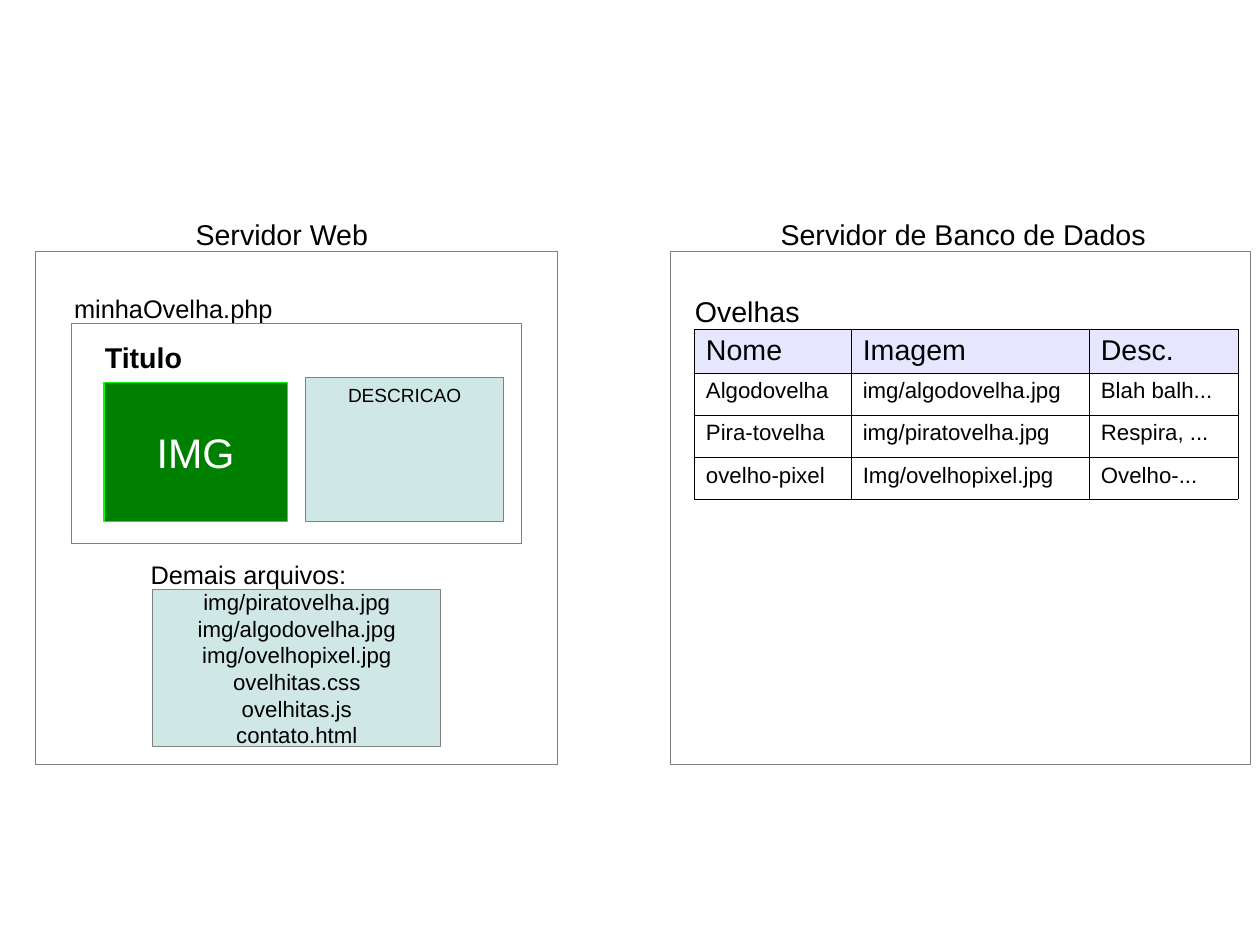
import pptx
import pptx.util
import pptx.dml.color
import pptx.enum.shapes
import pptx.enum.text
import pptx.oxml
import pptx.oxml.ns

Pt = pptx.util.Pt
ALIGN = pptx.enum.text.PP_ALIGN
ANCHOR = pptx.enum.text.MSO_ANCHOR

GRAY, BLACK, WHITE = "808080", "000000", "FFFFFF"
PALE_TEAL, LAVENDER, GREEN, LIME = "CFE7E5", "E6E6FF", "008000", "00FF00"

FILES = ["img/piratovelha.jpg", "img/algodovelha.jpg", "img/ovelhopixel.jpg",
         "ovelhitas.css", "ovelhitas.js", "contato.html"]
SHEEP_ROWS = [
    ["Nome", "Imagem", "Desc."],
    ["Algodovelha", "img/algodovelha.jpg", "Blah balh..."],
    ["Pira-tovelha", "img/piratovelha.jpg", "Respira, ..."],
    ["ovelho-pixel", "Img/ovelhopixel.jpg", "Ovelho-..."],
]
COLUMN_WIDTHS = [98.8, 150, 93.6]
ROW_HEIGHT = 26.6


def color(hex_string):
    return pptx.dml.color.RGBColor.from_string(hex_string)


def write_lines(text_frame, lines, size, align=ALIGN.LEFT, text_color=BLACK, bold=False):
    font_format = {"name": "Arial", "size": Pt(size), "bold": bold}
    for index, line in enumerate(lines):
        paragraph = text_frame.paragraphs[0] if index == 0 else text_frame.add_paragraph()
        paragraph.alignment = align
        run = paragraph.add_run()
        run.text = line
        for name, value in font_format.items():
            setattr(run.font, name, value)
        run.font.color.rgb = color(text_color)


def add_label(slide, text, left, top, width, height, size=18, bold=False):
    text_frame = slide.shapes.add_textbox(Pt(left), Pt(top), Pt(width), Pt(height)).text_frame
    text_frame.word_wrap = True
    text_frame.auto_size = pptx.enum.text.MSO_AUTO_SIZE.NONE
    write_lines(text_frame, [text], size, bold=bold)


def add_box(slide, left, top, width, height, fill=None, line=GRAY,
            lines=(), size=14, text_color=BLACK, anchor=ANCHOR.MIDDLE):
    shape = slide.shapes.add_shape(pptx.enum.shapes.MSO_SHAPE.RECTANGLE,
                                   Pt(left), Pt(top), Pt(width), Pt(height))
    shape.shadow.inherit = False
    if fill:
        shape.fill.solid()
        shape.fill.fore_color.rgb = color(fill)
    else:
        shape.fill.background()
    shape.line.color.rgb = color(line)
    shape.line.width = Pt(0)
    shape.text_frame.word_wrap = False
    shape.text_frame.vertical_anchor = anchor
    write_lines(shape.text_frame, lines, size, ALIGN.CENTER, text_color)


def add_cell_borders(cell):
    properties = cell._tc.get_or_add_tcPr()
    for side in "LRTB":
        properties.append(pptx.oxml.parse_xml(
            f'<a:ln{side} {pptx.oxml.ns.nsdecls("a")} w="720"><a:solidFill>'
            f'<a:srgbClr val="{BLACK}"/></a:solidFill></a:ln{side}>'))


# Page with title, image and description
def add_page_mockup(slide, left, top, width, height):
    add_label(slide, "minhaOvelha.php", left - 5.7, top - 22.5, 150, 25.2, 16)
    add_box(slide, left, top, width, height)
    add_label(slide, "Titulo", left + 13.7, top + 6.9, 75, 27.4, bold=True)
    add_box(slide, left + 20.2, top + 37.4, 115.6, 87.5, GREEN, LIME, ["IMG"], 26, WHITE)
    add_box(slide, left + 147.3, top + 34.2, 124.6, 90.7, PALE_TEAL,
            lines=["DESCRICAO"], size=12, anchor=ANCHOR.TOP)


# Left region
def add_web_server(slide, left, top, width, height):
    add_label(slide, "Servidor Web", left + 93.8, top - 25.2, 135, 27.4)
    add_box(slide, left, top, width, height)
    add_page_mockup(slide, left + 23, top + 45.4, 283.4, 138.4)
    # Remaining files
    add_label(slide, "Demais arquivos:", left + 65.5, top + 190.1, 150, 25.2, 16)
    add_box(slide, left + 74, top + 213, 181.4, 99, PALE_TEAL, lines=FILES)


def add_sheep_table(slide, left, top):
    frame = slide.shapes.add_table(len(SHEEP_ROWS), len(COLUMN_WIDTHS), Pt(left), Pt(top),
                                   Pt(sum(COLUMN_WIDTHS)), Pt(ROW_HEIGHT * len(SHEEP_ROWS)))
    table = frame.table
    table.first_row = table.horz_banding = False
    for column, width in zip(table.columns, COLUMN_WIDTHS):
        column.width = Pt(width)
    for row_index, texts in enumerate(SHEEP_ROWS):
        size, fill = (18, LAVENDER) if row_index == 0 else (14, WHITE)
        for column_index, text in enumerate(texts):
            cell = table.cell(row_index, column_index)
            cell.margin_left = cell.margin_right = Pt(7.2)
            cell.margin_top = cell.margin_bottom = Pt(3.6)
            add_cell_borders(cell)
            cell.fill.solid()
            cell.fill.fore_color.rgb = color(fill)
            write_lines(cell.text_frame, [text], size)


# Right region
def add_database_server(slide, left, top, width, height):
    add_label(slide, "Servidor de Banco de Dados", left + 62.2, top - 25.2, 265, 27.4)
    add_box(slide, left, top, width, height)
    add_label(slide, "Ovelhas", left + 8.2, top + 23, 95, 27.4)
    add_sheep_table(slide, left + 15.1, top + 49)


def main():
    presentation = pptx.Presentation()
    presentation.slide_width = Pt(793.7)
    presentation.slide_height = Pt(595.3)
    slide = presentation.slides.add_slide(presentation.slide_layouts[6])
    add_web_server(slide, 22.3, 158.4, 329, 323.3)
    add_database_server(slide, 422.4, 158.4, 365.5, 323.3)
    presentation.save("out.pptx")


if __name__ == "__main__":
    main()
